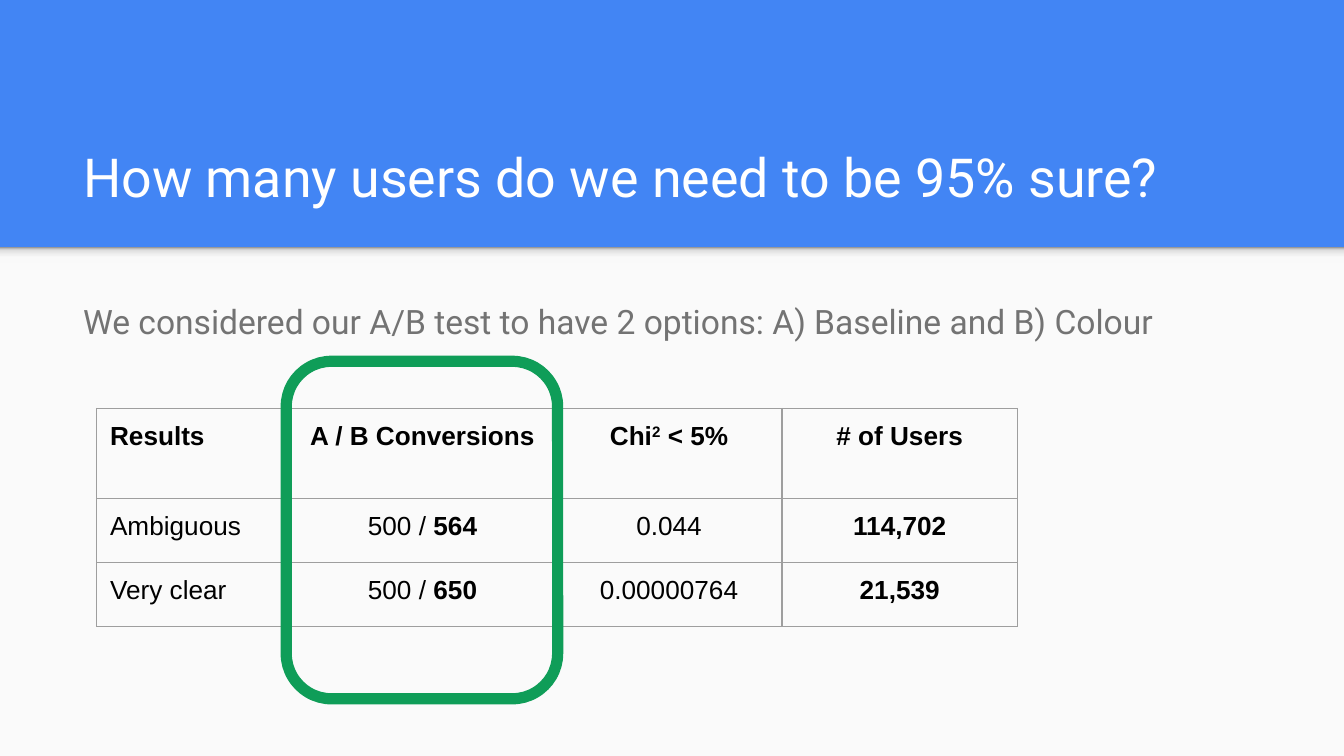
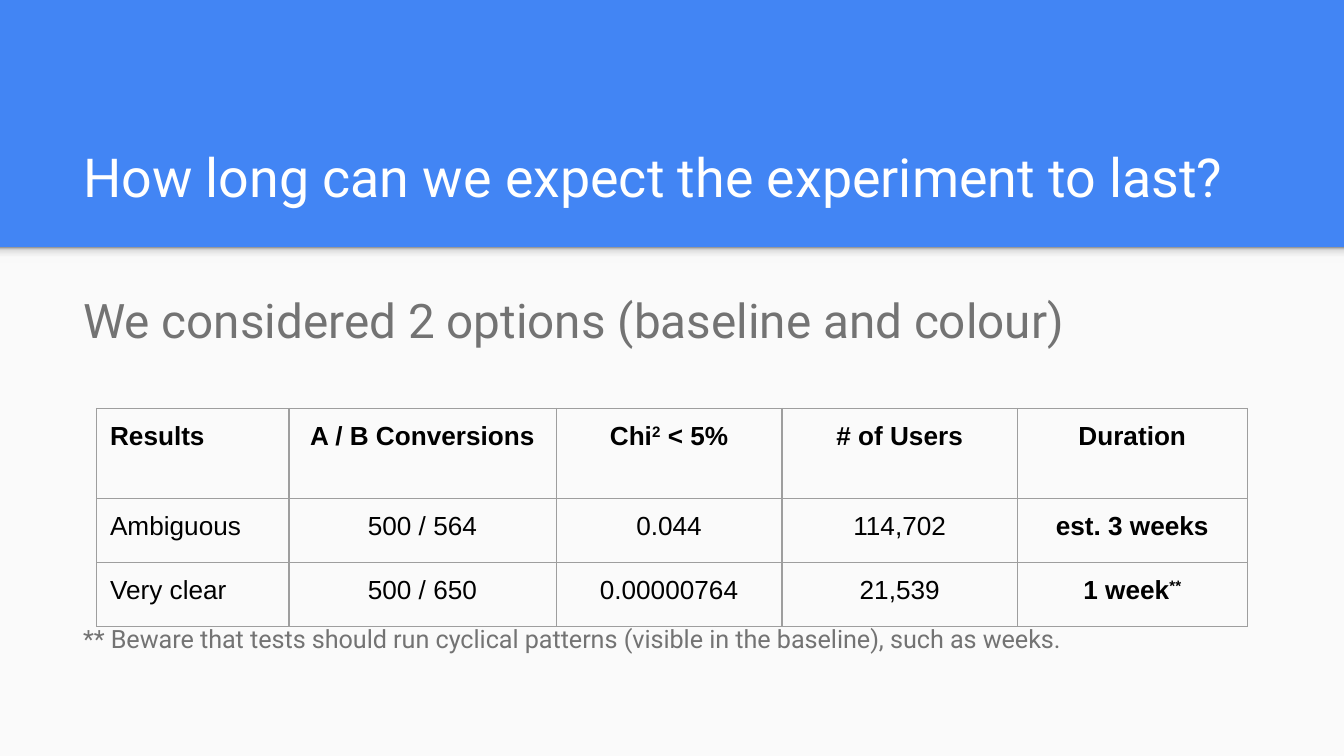
"""Build two slides on the sample size and duration of an A/B test."""
from lxml.etree import SubElement as Sub
from pptx import Presentation
from pptx.dml.color import RGBColor as RGB
from pptx.enum.shapes import MSO_SHAPE as Shape
from pptx.enum.text import MSO_ANCHOR as Anchor, MSO_AUTO_SIZE as AutoSize, PP_ALIGN as Align
from pptx.oxml.ns import qn
from pptx.util import Cm, Pt

COLORS = {"blue": "4285F4", "panel": "FAFAFA", "white": "FFFFFF", "grey": "737373",
          "black": "000000", "border": "9E9E9E", "green": "0F9D58"}
SHADOW_STOPS = [(0, "F9F9F9"), (36, "F9F9F9"), (80, "DEDEDE"), (100, "999999")]

WIDTH, HEIGHT, BAND = 25.4, 14.29, 4.67
TITLE_BOX = (1.32, 2.06, 22.83, 2.13)
BODY_BOX = (1.32, 5.33, 22.83, 7.52)
TABLE_AT = (1.83, 7.72)
COL_WIDTHS = [3.63, 5.05, 4.27, 4.45, 4.34]
ROW_HEIGHTS = [1.7, 1.21, 1.21]
INSET = 0.25

BOLD, SUPER = {"bold": True}, {"bold": True, "raised": True}
HEADER = [[("Results", BOLD)], [("A / B Conversions", BOLD)],
          [("Chi", BOLD), ("2", SUPER), (" < 5%", BOLD)], [("# of Users", BOLD)]]

SLIDES = [
    {"title": "How many users do we need to be 95% sure?",
     "body": [("We considered our A/B test to have 2 options: A) Baseline and B) Colour",
               18, {"line_spacing": 1.15})],
     "rows": [HEADER,
              ["Ambiguous", [("500 / ", {}), ("564", BOLD)], "0.044", [("114,702", BOLD)]],
              ["Very clear", [("500 / ", {}), ("650", BOLD)], "0.00000764", [("21,539", BOLD)]]],
     "highlight": (5.41, 6.83, 5.13, 6.38)},
    {"title": "How long can we expect the experiment to last?",
     "body": [("We considered 2 options (baseline and colour)", 25.5, {"line_spacing": 0.95}),
              ("** Beware that tests should run cyclical patterns (visible in the baseline), "
               "such as weeks.", 13.5, {"line_spacing": 0.95, "space_before": Pt(148)})],
     "rows": [HEADER + [[("Duration", BOLD)]],
              ["Ambiguous", "500 / 564", "0.044", "114,702", [("est. 3 weeks", BOLD)]],
              ["Very clear", "500 / 650", "0.00000764", "21,539",
               [("1 week", BOLD), ("**", SUPER)]]]},
]


def color(name):
    return RGB.from_string(COLORS[name])


def set_all(obj, values):
    for name, value in values.items():
        setattr(obj, name, value)


def place(sp, box):
    set_all(sp, dict(zip(("left", "top", "width", "height"), map(Cm, box))))


def add_run(p, text, size, font, fill, bold=False, raised=False):
    r = p.add_run()
    r.text = text
    set_all(r.font, {"name": font, "size": Pt(size), "bold": bold})
    r.font.color.rgb = color(fill)
    if raised:
        r.font._element.set("baseline", "30000")


def add_shape(s, kind, box):
    sp = s.shapes.add_shape(kind, *map(Cm, box))
    sp.shadow.inherit = False
    return sp


def build_layout(layout, s):
    """Draw the shared band on a slide and move it to the layout."""
    layout.background.fill.solid()
    layout.background.fill.fore_color.rgb = color("blue")
    panel = add_shape(s, Shape.RECTANGLE, (0, BAND, WIDTH, HEIGHT - BAND))
    panel.fill.solid()
    panel.fill.fore_color.rgb = color("panel")
    shadow = add_shape(s, Shape.RECTANGLE, (0, BAND, WIDTH, 0.3))
    shadow.fill.gradient()
    shadow.fill.gradient_angle = 90
    stops = shadow._element.spPr.find(".//" + qn("a:gsLst"))
    stops.clear()
    for pos, value in SHADOW_STOPS:
        stop = Sub(stops, qn("a:gs"), pos=str(pos * 1000))
        Sub(stop, qn("a:srgbClr"), val=value)
    for index, sp in enumerate((panel, shadow), 2):
        sp.line.fill.background()
        layout.shapes._spTree.insert(index, sp._element)


def fill_placeholder(sp, box, paragraphs, fill, anchor):
    place(sp, box)
    tf = sp.text_frame
    set_all(tf, {"word_wrap": True, "auto_size": AutoSize.NONE, "vertical_anchor": anchor})
    set_all(tf, {f"margin_{side}": Cm(INSET) for side in ("left", "right", "top", "bottom")})
    for i, (text, size, spacing) in enumerate(paragraphs):
        p = tf.add_paragraph() if i else tf.paragraphs[0]
        set_all(p, {"alignment": Align.LEFT, "space_before": Pt(0), **spacing})
        pPr = p._p.get_or_add_pPr()
        pPr.set("marL", "0")
        pPr.set("indent", "0")
        Sub(pPr, qn("a:buNone"))
        add_run(p, text, size, "Roboto", fill)


def fill_cell(cell, content, align):
    set_all(cell, {f"margin_{side}": Cm(INSET) for side in ("left", "right", "top", "bottom")})
    p = cell.text_frame.paragraphs[0]
    p.alignment = align
    for text, style in [(content, {})] if isinstance(content, str) else content:
        add_run(p, text, 14, "Arial", "black", **style)
    tcPr = cell._tc.get_or_add_tcPr()
    for side in "LRTB":
        ln = Sub(tcPr, qn(f"a:ln{side}"), w=str(Pt(0.75)))
        Sub(Sub(ln, qn("a:solidFill")), qn("a:srgbClr"), val=COLORS["border"])
    cell.fill.background()


def add_results(s, rows):
    widths = COL_WIDTHS[:len(rows[0])]
    box = (*TABLE_AT, sum(widths), sum(ROW_HEIGHTS))
    table = s.shapes.add_table(len(rows), len(widths), *map(Cm, box)).table
    set_all(table, {"first_row": False, "horz_banding": False})
    for col, width in zip(table.columns, widths):
        col.width = Cm(width)
    for row, height, contents in zip(table.rows, ROW_HEIGHTS, rows):
        row.height = Cm(height)
        for i, content in enumerate(contents):
            fill_cell(row.cells[i], content, Align.CENTER if i else Align.LEFT)


def add_highlight(s, box):
    sp = add_shape(s, Shape.ROUNDED_RECTANGLE, box)
    sp.fill.background()
    sp.line.color.rgb = color("green")
    sp.line.width = Pt(6)


def main():
    prs = Presentation()
    set_all(prs, {"slide_width": Cm(WIDTH), "slide_height": Cm(HEIGHT)})
    layout = prs.slide_layouts[1]
    for i, data in enumerate(SLIDES):
        s = prs.slides.add_slide(layout)
        if i == 0:
            build_layout(layout, s)
        title = [(data["title"], 28.8, {})]
        fill_placeholder(s.shapes.title, TITLE_BOX, title, "white", Anchor.BOTTOM)
        fill_placeholder(s.placeholders[1], BODY_BOX, data["body"], "grey", Anchor.TOP)
        add_results(s, data["rows"])
        if "highlight" in data:
            add_highlight(s, data["highlight"])
    prs.save("out.pptx")


if __name__ == "__main__":
    main()
